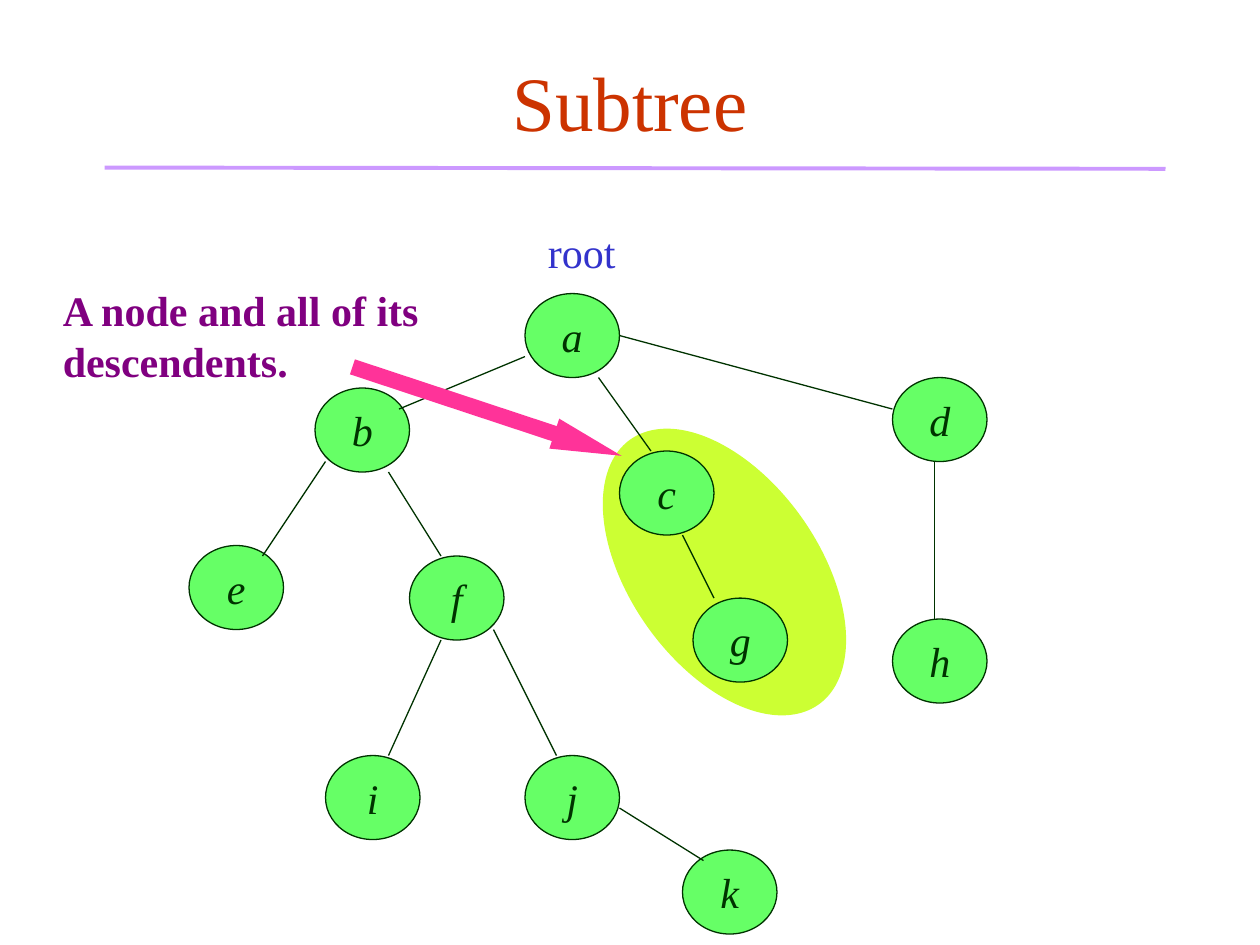
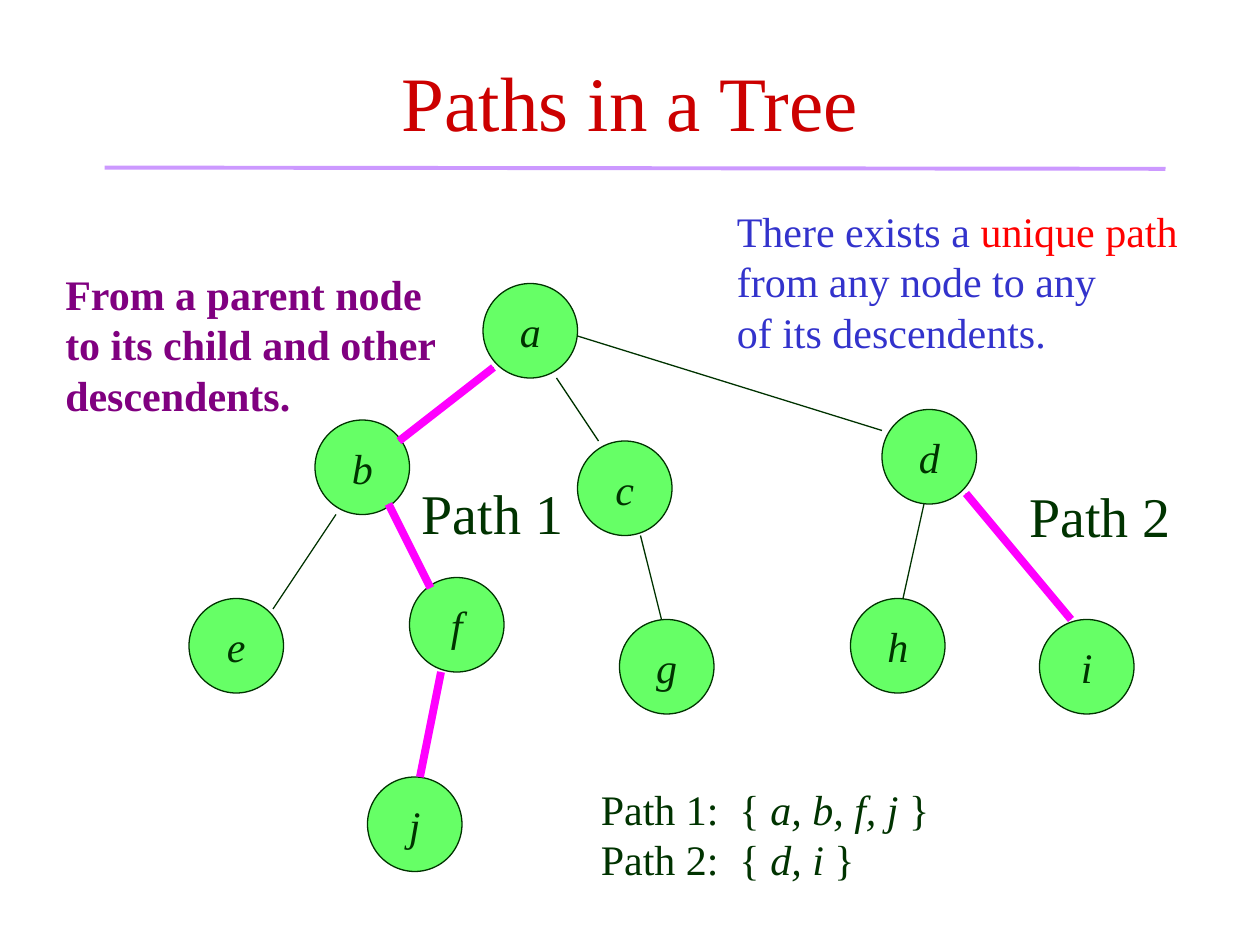
import pptx
import pptx.util
import pptx.dml.color
import pptx.enum.shapes
import pptx.enum.text
import pptx.oxml.ns
import lxml.etree

Inches, Pt = pptx.util.Inches, pptx.util.Pt
SHAPE = pptx.enum.shapes.MSO_SHAPE
ALIGN = pptx.enum.text.PP_ALIGN
ANCHOR = pptx.enum.text.MSO_ANCHOR
FIT = pptx.enum.text.MSO_AUTO_SIZE

FONT = "Times New Roman"
COLORS = {
    "ink": "003300", "node": "66FF66", "rule": "CC99FF", "blue": "3333CC",
    "purple": "800080", "red": "FF0000", "rust": "CC3300", "crimson": "CC0000",
    "lime": "CCFF33", "pink": "FF3399", "path": "FF00FF",
}
UNIT = 1 / 12  # the trees sit on a grid of twelfths of an inch


def color(name):
    """Look up a named colour."""
    return pptx.dml.color.RGBColor.from_string(COLORS[name])


def write(frame, lines, size, tint, align=ALIGN.LEFT, bold=False):
    """Fill a text frame; each line is a list of (text, tint, italic) runs."""
    for num, parts in enumerate(lines):
        para = frame.paragraphs[0] if num == 0 else frame.add_paragraph()
        para.alignment = align
        for text, own, slant in parts:
            run = para.add_run()
            run.text = text
            font = run.font
            font.name, font.size = FONT, Pt(size)
            font.bold, font.italic = bold, slant
            font.color.rgb = color(own or tint)


def plain(text):
    """Make a line of one unmarked run."""
    return [(text, None, False)]


def label(slide, box, lines, size, tint, bold=False):
    """Place free text in a box that grows with it."""
    frame = slide.shapes.add_textbox(*map(Inches, box)).text_frame
    frame.word_wrap = False
    frame.auto_size = FIT.SHAPE_TO_FIT_TEXT
    write(frame, lines, size, tint, bold=bold)


def shape(slide, kind, box, fill, turn=0):
    """Place a filled shape without outline or shadow."""
    item = slide.shapes.add_shape(kind, *map(Inches, box))
    item.shadow.inherit = False
    item.fill.solid()
    item.fill.fore_color.rgb = color(fill)
    item.line.fill.background()
    item.rotation = turn
    return item


def line(slide, ends, tint, width):
    """Draw a straight line between two points."""
    item = slide.shapes.add_connector(
        pptx.enum.shapes.MSO_CONNECTOR.STRAIGHT, *map(Inches, ends))
    item.line.color.rgb = color(tint)
    item.line.width = Pt(width)
    props = item.element.find(pptx.oxml.ns.qn("p:spPr"))
    lxml.etree.SubElement(props, pptx.oxml.ns.qn("a:effectLst"))


def node(slide, box, name):
    """Draw one round tree node with its name."""
    item = shape(slide, SHAPE.OVAL, box, "node")
    item.line.color.rgb = color("ink")
    item.line.width = Pt(0.75)
    frame = item.text_frame
    frame.word_wrap = False
    frame.vertical_anchor = ANCHOR.MIDDLE
    write(frame, [[(name, None, True)]], 24, "ink", ALIGN.CENTER)


def tree(slide, box, nodes, edges, size, marked=()):
    """Draw a tree from grid places in a box; marked edges go on top."""
    left, top = box[:2]
    wide, high = (side * UNIT for side in size)
    for name, (col, row) in nodes.items():
        node(slide, (left + col * UNIT, top + row * UNIT, wide, high), name)

    def edge(key, tint, width):
        """Draw one edge by its key."""
        x1, y1, x2, y2 = (part * UNIT for part in edges[key])
        line(slide, (left + x1, top + y1, left + x2, top + y2), tint, width)

    for key in edges:
        edge(key, "ink", 0.75)
    for key in marked:
        edge(key, "path", 4.5)


def header(slide, box, text, tint):
    """Place the slide title and the rule below it."""
    left, top, wide, high = box
    frame = slide.shapes.add_textbox(*map(Inches, box)).text_frame
    frame.word_wrap = True
    frame.vertical_anchor = ANCHOR.MIDDLE
    write(frame, [plain(text)], 44, tint, ALIGN.CENTER)
    low = top + high - 0.09
    line(slide, (left + 0.08, low, left + wide, low + 0.01), "rule", 2.25)


def subtree(slide, box):
    """Show a tree with one subtree lit up."""
    left, top = box[:2]
    nodes = {
        "a": (32, 0), "b": (12, 9), "c": (41, 15), "d": (67, 8),
        "e": (0, 24), "f": (21, 25), "g": (48, 29), "h": (67, 31),
        "i": (13, 44), "j": (32, 44), "k": (47, 53),
    }
    edges = {
        "ab": (32, 6, 20, 11), "ac": (39, 8, 44, 15), "ad": (41, 4, 67, 11),
        "be": (13, 16, 7, 25), "bf": (19, 17, 24, 25), "cg": (47, 23, 50, 29),
        "dh": (71, 16, 71, 31), "fi": (24, 33, 19, 44), "fj": (29, 32, 35, 44),
        "jk": (41, 49, 49, 54),
    }
    shape(slide, SHAPE.OVAL, (left + 3.5, top + 0.92, 1.5, 2.58), "lime", 324.6)
    tree(slide, box, nodes, edges, (9, 8))
    label(slide, (left + 2.75, top - 0.58, 0.76, 0.5), [plain("root")], 24, "blue")
    label(slide, (left - 1.1, top - 0.12, 3.13, 0.9),
          [plain("A node and all of its "), plain("descendents. ")],
          24, "purple", bold=True)
    arrow = shape(slide, SHAPE.RIGHT_ARROW,
                  (left + 1.24, top + 0.81, 2.25, 0.25), "pink", 18.3)
    arrow.adjustments[0] = 0.5
    arrow.adjustments[1] = 2.25


def paths(slide, box):
    """Show a tree with two paths drawn bold, and notes on them."""
    left, top = box[:2]
    nodes = {
        "a": (28, 0), "b": (12, 13), "c": (37, 15), "d": (66, 12),
        "e": (0, 30), "f": (21, 28), "g": (41, 32), "h": (63, 30),
        "i": (81, 32), "j": (17, 47),
    }
    edges = {
        "ab": (29, 8, 20, 15), "ac": (35, 9, 39, 15), "ad": (37, 5, 66, 14),
        "be": (14, 22, 8, 31), "bf": (19, 21, 23, 29), "cg": (43, 24, 45, 32),
        "dh": (70, 21, 68, 30), "di": (74, 20, 84, 32), "fj": (24, 37, 22, 47),
    }
    tree(slide, box, nodes, edges, (9, 9), ("ab", "bf", "fj", "di"))
    for num, (x, y) in enumerate([(1.75, 1.5), (6.57, 1.52)], 1):
        label(slide, (left + x, top + y, 1.4, 0.63),
              [plain(f"Path {num}")], 32, "ink")
    lists = [[(f"Path {num}:  {{ ", None, False), (names, None, True),
              (" }", None, False)]
             for num, names in enumerate(["a, b, f, j", "d, i"], 1)]
    label(slide, (left + 3.17, top + 3.92, 2.85, 0.9), lists, 24, "ink")
    label(slide, (left - 1.08, top - 0.17, 3.2, 1.3),
          [plain("From a parent node "), plain("to its child and other"),
           plain("descendents. ")], 24, "purple", bold=True)
    label(slide, (left + 4.25, top - 0.67, 3.8, 1.3),
          [[("There exists a ", None, False), ("unique path ", "red", False)],
           plain("from any node to any "), plain("of its descendents.")],
          24, "blue")


def main():
    """Build both slides and save them."""
    deck = pptx.Presentation()
    deck.slide_width, deck.slide_height = Inches(10), Inches(7.5)
    pages = [
        ("Subtree", "rust", subtree, (1.5, 2.33, 6.33, 5.08)),
        ("Paths in a Tree", "crimson", paths, (1.5, 2.25, 7.5, 4.67)),
    ]
    for title, tint, draw, box in pages:
        slide = deck.slides.add_slide(deck.slide_layouts[6])
        header(slide, (0.75, 0.17, 8.5, 1.25), title, tint)
        draw(slide, box)
    deck.save("out.pptx")


main()
